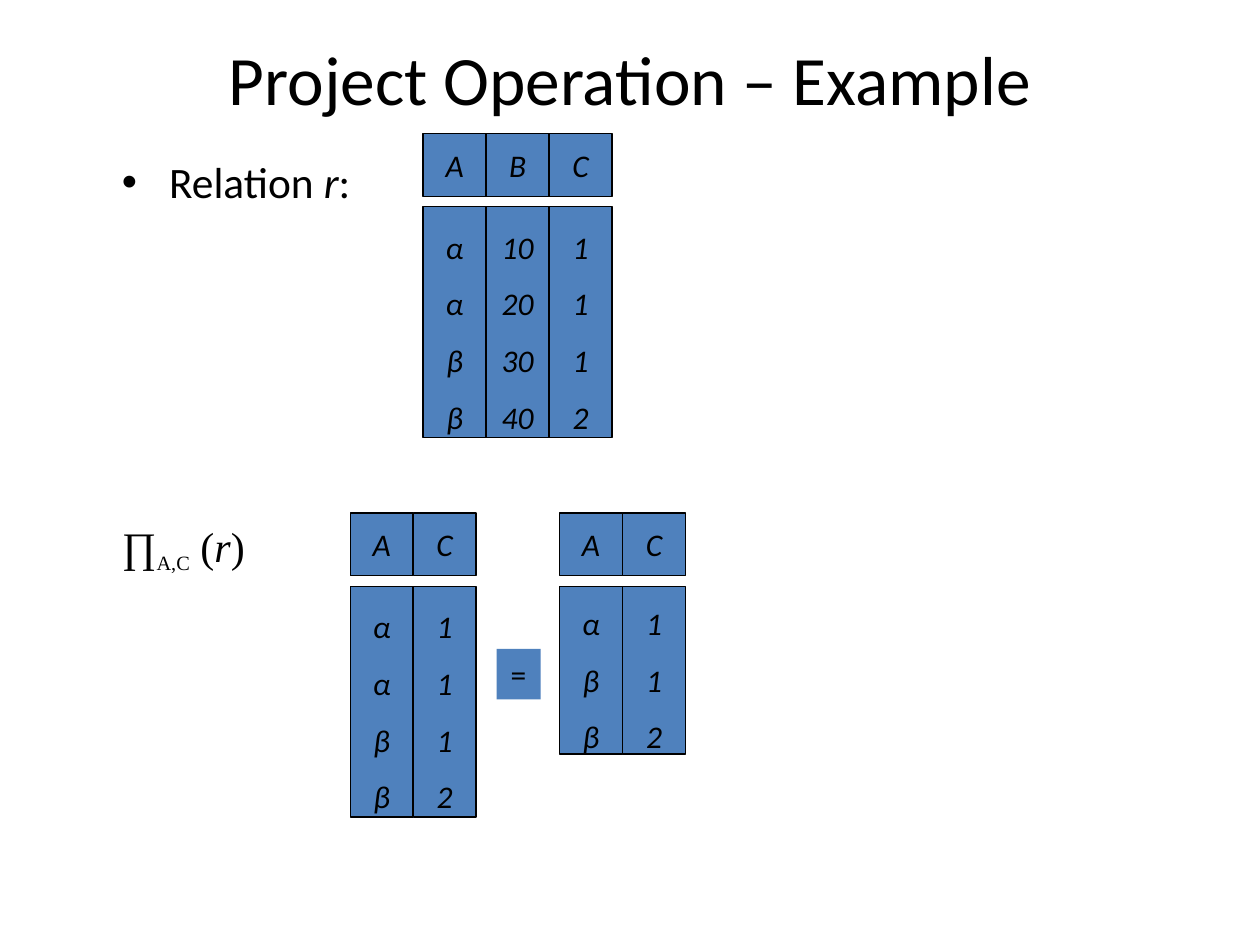
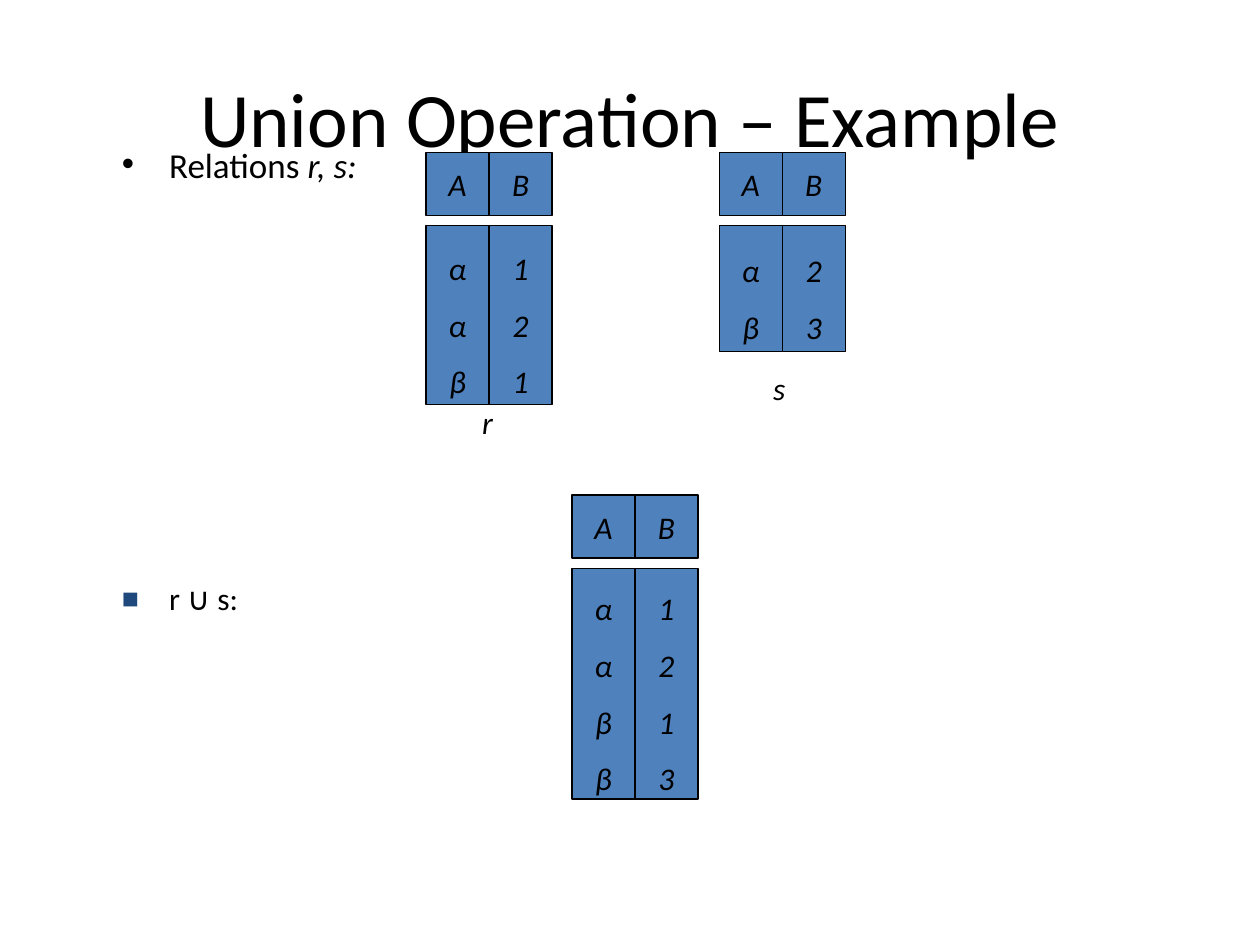
import pptx
import pptx.dml.color
import pptx.enum.shapes
import pptx.enum.text
import pptx.oxml
import pptx.oxml.ns
import pptx.util

Cm = pptx.util.Cm
Pt = pptx.util.Pt
ALIGN = pptx.enum.text.PP_ALIGN
ANCHOR = pptx.enum.text.MSO_ANCHOR

BLACK, CELL_BLUE, BULLET_BLUE = "000000", "4F81BD", "1F497D"
BODY_FONT, FORMULA_FONT = "Calibri", "Times New Roman"
CELL_SIZE = 1.27       # side of a heading cell, cm
HEADING_GAP = 0.21     # between headings and values, cm
BODY_LEFT = 2.21
BULLET_INDENT = 0.95


def color(hex_text):
    return pptx.dml.color.RGBColor.from_string(hex_text)


def add_run(paragraph, text, size, italic=False, font=BODY_FONT, baseline=0):
    run = paragraph.add_run()
    run.text = text
    run.font.name = font
    run.font.size = Pt(size)
    run.font.italic = italic
    run.font.color.rgb = color(BLACK)
    if baseline:
        run._r.get_or_add_rPr().set("baseline", str(baseline * 1000))


def add_text_box(slide, box, wrap=True, anchor=ANCHOR.TOP):
    shape = slide.shapes.add_textbox(*map(Cm, box))
    shape.text_frame.word_wrap = wrap
    shape.text_frame.vertical_anchor = anchor
    return shape.text_frame.paragraphs[0]


def add_title(slide, text, height, size):
    paragraph = add_text_box(slide, (1.27, 0.76, 22.86, height), anchor=ANCHOR.MIDDLE)
    paragraph.alignment = ALIGN.CENTER
    add_run(paragraph, text, size)


def add_bullet(paragraph, symbol, symbol_color=BLACK, percent=100):
    properties = paragraph._p.get_or_add_pPr()
    properties.set("marL", str(Cm(BULLET_INDENT)))
    properties.set("indent", str(-Cm(BULLET_INDENT)))
    namespace = pptx.oxml.ns.nsdecls("a")
    for element in (
        f'<a:buClr {namespace}><a:srgbClr val="{symbol_color}"/></a:buClr>',
        f'<a:buSzPct {namespace} val="{percent * 1000}"/>',
        f'<a:buFont {namespace} typeface="Arial"/>',
        f'<a:buChar {namespace} char="{symbol}"/>',
    ):
        properties.append(pptx.oxml.parse_xml(element))


def add_block(slide, box, lines, italic=True, outlined=True, line_spacing=None):
    """Blue rectangle with one centred paragraph for each line."""
    shape = slide.shapes.add_shape(
        pptx.enum.shapes.MSO_SHAPE.RECTANGLE, *map(Cm, box))
    shape.shadow.inherit = False
    shape.fill.solid()
    shape.fill.fore_color.rgb = color(CELL_BLUE)
    if outlined:
        shape.line.color.rgb = color(BLACK)
        shape.line.width = Pt(0.75)
    else:
        shape.line.fill.background()
    frame = shape.text_frame
    frame.word_wrap = False
    frame.vertical_anchor = ANCHOR.MIDDLE
    for index, line in enumerate(lines):
        paragraph = frame.add_paragraph() if index else frame.paragraphs[0]
        paragraph.alignment = ALIGN.CENTER
        if line_spacing:
            paragraph.line_spacing = line_spacing
        add_run(paragraph, line, 18, italic)


def add_relation(slide, left, top, values_height, headings, rows):
    """Row of heading cells above one tall block of values per column."""
    values_top = top + CELL_SIZE + HEADING_GAP
    for index, (heading, values) in enumerate(zip(headings, zip(*rows))):
        x = left + index * CELL_SIZE
        add_block(slide, (x, top, CELL_SIZE, CELL_SIZE), [heading])
        add_block(slide, (x, values_top, CELL_SIZE, values_height), values,
                  line_spacing=1.5)


def add_relation_name(slide, box, name):
    paragraph = add_text_box(slide, box, wrap=False, anchor=ANCHOR.MIDDLE)
    paragraph.alignment = ALIGN.CENTER
    add_run(paragraph, name, 18, italic=True)


def build_project_slide(slide):
    add_title(slide, "Project Operation – Example", 1.63, 39.6)

    # Source relation
    paragraph = add_text_box(slide, (BODY_LEFT, 3, 19.05, 1.14))
    add_bullet(paragraph, "•")
    for text, italic in (("Relation", False), (" r", True), (":", False)):
        add_run(paragraph, text, 24.8, italic)
    add_relation(slide, 8.53, 2.69, 4.65, "ABC",
                 [("α", "10", "1"), ("α", "20", "1"),
                  ("β", "30", "1"), ("β", "40", "2")])

    # Projection before and after duplicates are removed
    result_top = 10.34
    add_relation(slide, 7.06, result_top, 4.65, "AC", ["α1", "α1", "β1", "β2"])
    add_block(slide, (10.01, result_top + 2.74, 0.89, 1.02), ["="],
              italic=False, outlined=False)
    add_relation(slide, 11.28, result_top, 3.38, "AC", ["α1", "β1", "β2"])

    # Projection formula
    paragraph = add_text_box(slide, (BODY_LEFT, 10.36, 19.53, 1.14))
    for text, size, italic, baseline in (
        ("∏", 24, False, 0), ("A,C", 20, False, -25),
        (" (", 24, False, 0), ("r", 24, True, 0), (")", 24, False, 0),
    ):
        add_run(paragraph, text, size, italic, FORMULA_FONT, baseline)


def build_union_slide(slide):
    add_title(slide, "Union Operation – Example", 3.18, 44)

    # Bullets
    paragraph = add_text_box(slide, (BODY_LEFT, 3, 19.05, 0.94))
    add_bullet(paragraph, "•")
    paragraph.line_spacing = 0.7
    add_run(paragraph, "Relations ", 20)
    add_run(paragraph, "r, s:", 20, italic=True)
    paragraph = add_text_box(slide, (BODY_LEFT, 11.63, 19.53, 0.91))
    add_bullet(paragraph, "■", BULLET_BLUE, 90)
    paragraph.line_spacing = 0.9
    add_run(paragraph, "r ∪ s:", 18)

    # Source relations and their names
    source_top = 3.07
    add_relation(slide, 8.59, source_top, 3.61, "AB", ["α1", "α2", "β1"])
    add_relation(slide, 14.5, source_top, 2.54, "AB", ["α2", "β3"])
    add_relation_name(slide, (9.47, 8, 0.71, 1.02), "r")
    add_relation_name(slide, (15.29, 7.32, 0.84, 1.02), "s")

    # Union
    add_relation(slide, 11.53, 9.98, 4.65, "AB", ["α1", "α2", "β1", "β3"])


def main():
    presentation = pptx.Presentation()
    presentation.slide_width = Cm(25.4)
    presentation.slide_height = Cm(19.05)
    blank_layout = presentation.slide_layouts[6]
    for build in (build_project_slide, build_union_slide):
        build(presentation.slides.add_slide(blank_layout))
    presentation.save("out.pptx")


if __name__ == "__main__":
    main()
